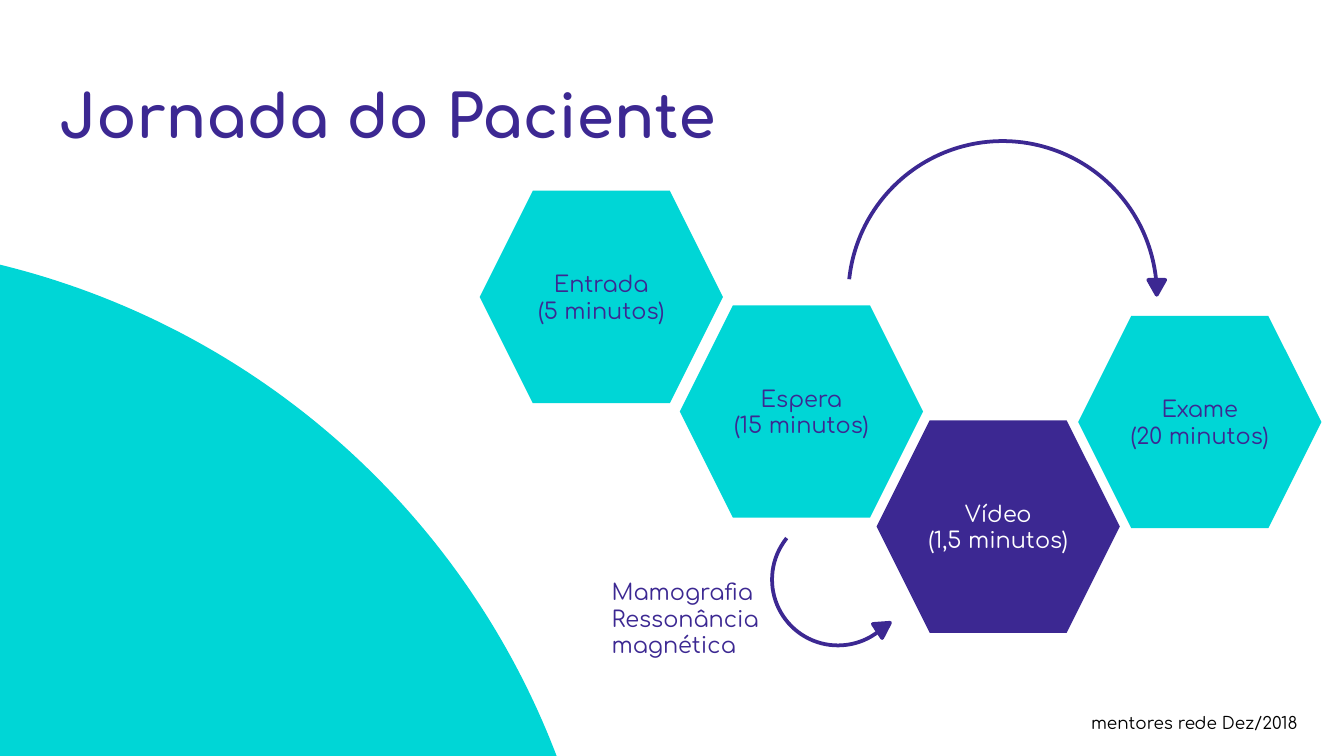
"""Builds the patient journey slide."""
import math

import pptx
import pptx.dml.color
import pptx.enum.shapes
import pptx.enum.text
import pptx.util

Pt = pptx.util.Pt
SHAPE = pptx.enum.shapes.MSO_SHAPE
ALIGN = pptx.enum.text.PP_ALIGN
ANCHOR = pptx.enum.text.MSO_ANCHOR
COLORS = {"purple": "3C2892", "teal": "00D6D6", "white": "FFFFFF", "black": "000000"}
FONT = "Comfortaa"


def rgb(name):
    """Return a palette colour."""
    return pptx.dml.color.RGBColor.from_string(COLORS[name])


def write(frame, lines, size, color, align=ALIGN.LEFT, bold=False):
    """Write one paragraph for each line."""
    frame.word_wrap = True
    for index, line in enumerate(lines):
        paragraph = frame.add_paragraph() if index else frame.paragraphs[0]
        paragraph.alignment = align
        run = paragraph.add_run()
        run.text = line
        run.font.name = FONT
        run.font.size = Pt(size)
        run.font.bold = bold
        run.font.color.rgb = rgb(color)


def add_text(slide, box, lines, size, color, bold=False, inset=3.6):
    """Add a text box."""
    frame = slide.shapes.add_textbox(*map(Pt, box)).text_frame
    frame.margin_top = frame.margin_bottom = Pt(inset)
    write(frame, lines, size, color, bold=bold)


def add_figure(slide, kind, box, fill=None, line=None):
    """Add a preset shape with an optional fill and outline."""
    figure = slide.shapes.add_shape(kind, *map(Pt, box))
    figure.shadow.inherit = False
    if fill:
        figure.fill.solid()
        figure.fill.fore_color.rgb = rgb(fill)
    else:
        figure.fill.background()
    if line:
        figure.line.color.rgb = rgb(line)
        figure.line.width = Pt(2)
    else:
        figure.line.fill.background()
    return figure


def add_step(slide, box, lines, fill, color):
    """Add a hexagon for one step of the journey."""
    step = add_figure(slide, SHAPE.HEXAGON, box, fill)
    step.text_frame.vertical_anchor = ANCHOR.MIDDLE
    write(step.text_frame, lines, 12, color, ALIGN.CENTER)


def add_curved_arrow(slide, box, start, end, tip, turn):
    """Add an arc between two angles, with a tip at the given angle."""
    left, top, diameter = box
    radius = diameter / 2
    arc = add_figure(slide, SHAPE.ARC, (left, top, diameter, diameter), line="purple")
    arc.adjustments[0] = start * 0.6
    arc.adjustments[1] = end * 0.6
    angle = math.radians(tip)
    width, height = 9, 8
    tip_left = left + radius + radius * math.cos(angle) - width / 2
    tip_top = top + radius + radius * math.sin(angle) - height / 2
    head = add_figure(slide, SHAPE.ISOSCELES_TRIANGLE,
                      (tip_left, tip_top, width, height), "purple", "purple")
    head.rotation = turn


def add_journey(slide, box):
    """Add the steps and the arrows that join them."""
    left, top = box
    steps = [
        (0, 0, ["Entrada", "(5 minutos)"], "teal", "purple"),
        (107.2, 61.4, ["Espera", "(15 minutos)"], "teal", "purple"),
        (320.6, 67, ["Exame", "(20 minutos)"], "teal", "purple"),
        (212.6, 123, ["Vídeo", "(1,5 minutos)"], "purple", "white"),
    ]
    for x, y, lines, fill, color in steps:
        add_step(slide, (left + x, top + y, 130.3, 113.8), lines, fill, color)
    add_text(slide, (left + 63.6, top + 203.8, 100, 65.5),
             ["Mamografia", "Ressonância magnética"], 12, "purple")
    add_curved_arrow(slide, (left + 197.5, top - 26.6, 165.3), 186, 354, 357, 180)
    add_curved_arrow(slide, (left + 156.6, top + 173, 70.6), 50, 219, 46, 56.5)


def main():
    """Build and save the slide."""
    deck = pptx.Presentation()
    deck.slide_width, deck.slide_height = Pt(720), Pt(405)
    slide = deck.slides.add_slide(deck.slide_layouts[6])
    add_text(slide, (24.5, 35.3, 671, 45.4), ["Jornada do Paciente"], 32, "purple",
             bold=True, inset=7.2)
    add_figure(slide, SHAPE.OVAL, (-529.2, 129.6, 855.4, 855.4), "teal")
    add_journey(slide, (257, 102.2))
    add_text(slide, (577.4, 378, 130.3, 18), ["mentores rede Dez/2018"], 9, "black")
    deck.save("out.pptx")


if __name__ == "__main__":
    main()
